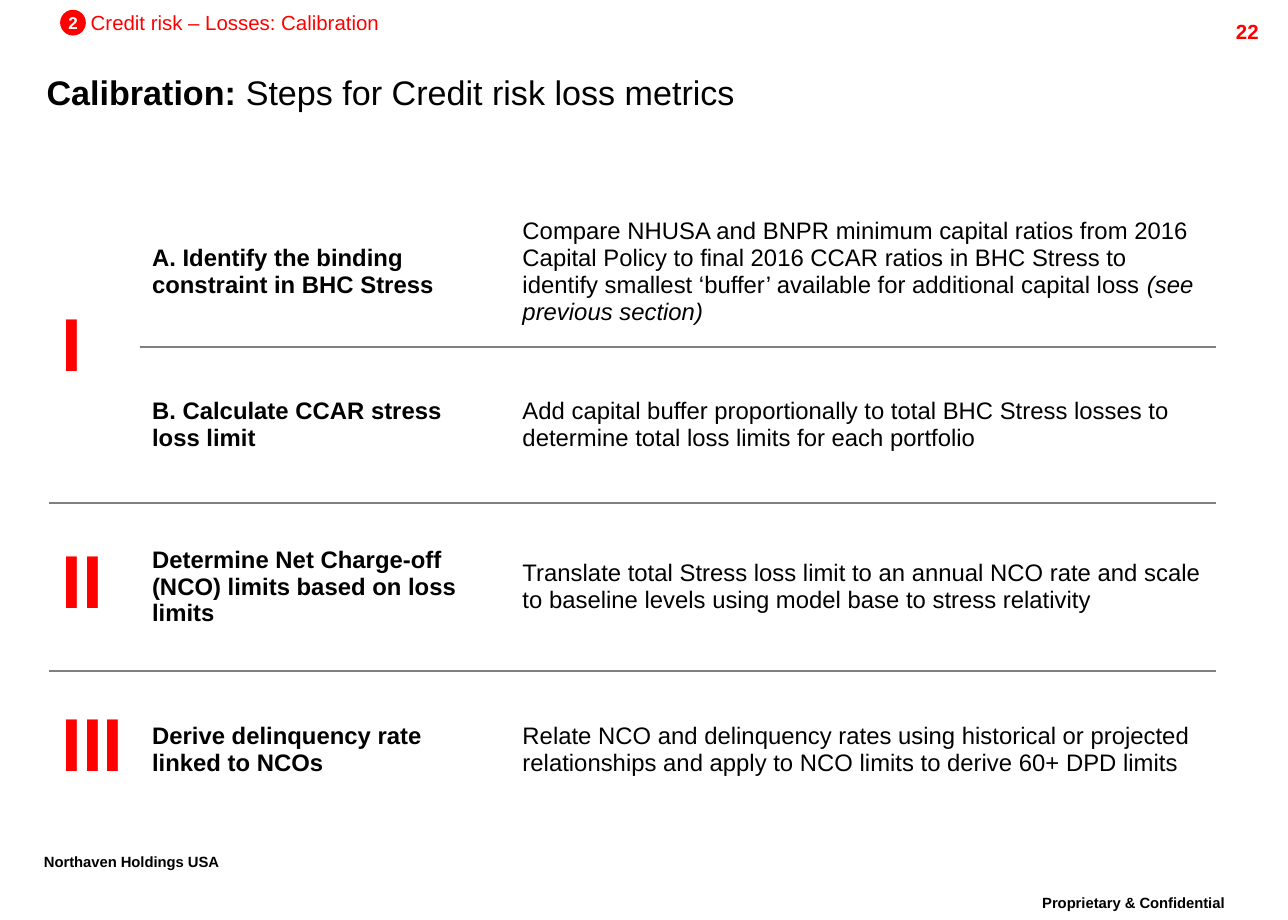
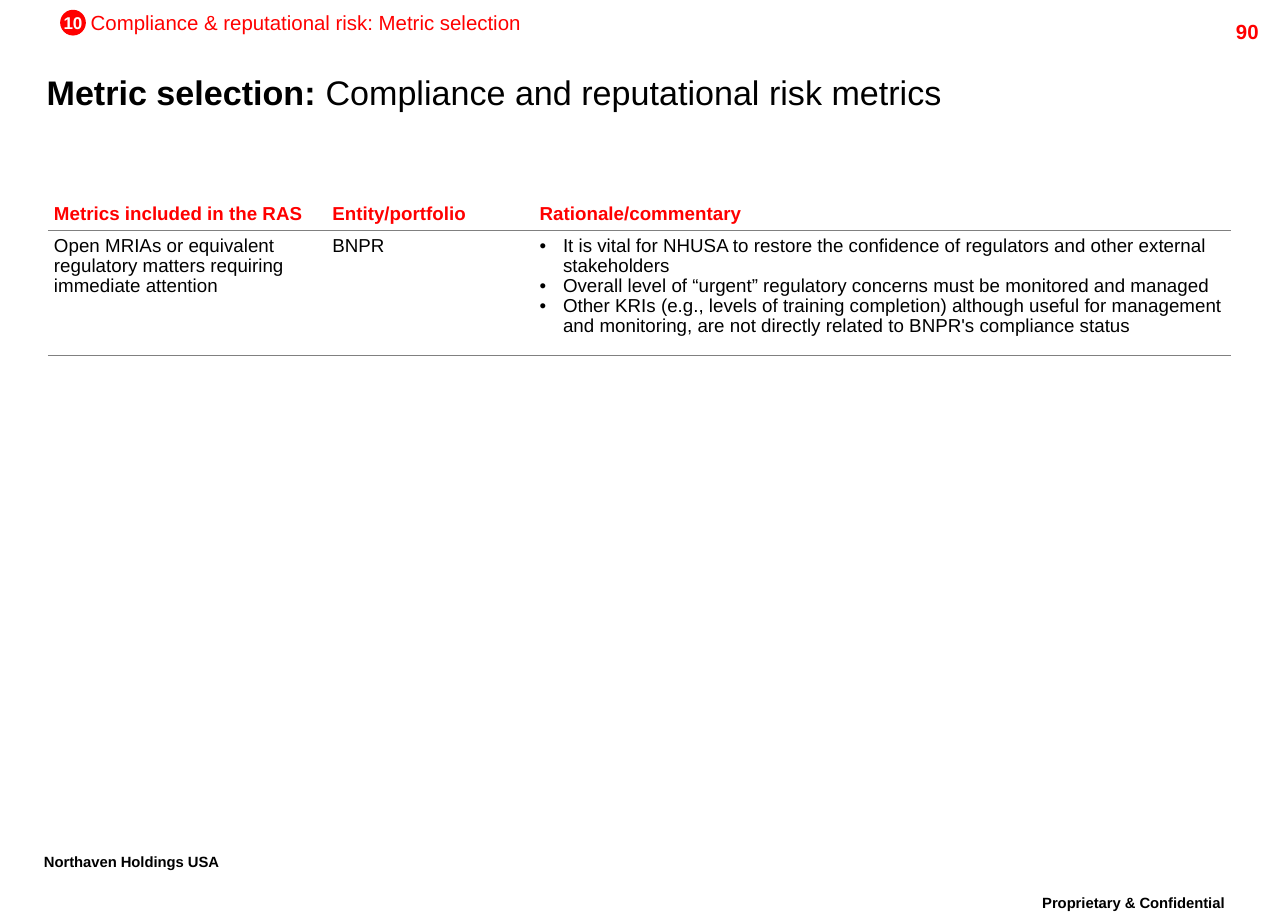
from lxml import etree
from pptx import Presentation
from pptx import util as u
from pptx.dml.color import RGBColor
from pptx.enum import shapes, text
from pptx.oxml.ns import qn

RED, BLACK, WHITE, GREY = "FF0000", "000000", "FFFFFF", "808080"
FONT = "Arial"
NO_GRID = "{2D5ABB26-0587-4C30-8999-92F81FD0307C}"
LEFT, CENTER, RIGHT = text.PP_ALIGN.LEFT, text.PP_ALIGN.CENTER, text.PP_ALIGN.RIGHT
MIDDLE, TOP, BOTTOM = (text.MSO_ANCHOR.MIDDLE, text.MSO_ANCHOR.TOP,
                       text.MSO_ANCHOR.BOTTOM)

deck = Presentation()
deck.slide_width, deck.slide_height = u.Inches(10.5), u.Inches(7.5)
# The slide is a grid of 105 columns by 75 rows
COL, ROW = deck.slide_width / 105, deck.slide_height / 75


def color(hex_string):
    return RGBColor.from_string(hex_string)


def write(frame, paragraphs, size=12, ink=BLACK, bold=False, align=LEFT,
          spacing=1.0, indent=0, bullet=False, raised=False):
    """Fill a frame; a paragraph is a string or a list of (text, format) runs."""
    for i, content in enumerate(paragraphs):
        para = frame.paragraphs[0] if i == 0 else frame.add_paragraph()
        props = para._p.get_or_add_pPr()
        if indent:
            props.set("marL", str(int(indent * COL)))
            props.set("indent", str(int(-indent * COL) if bullet else 0))
        if bullet:
            etree.SubElement(props, qn("a:buFont"), typeface=FONT)
            etree.SubElement(props, qn("a:buChar"), char="•")
        para.alignment, para.line_spacing = align, spacing
        runs = [(content, {})] if isinstance(content, str) else content
        for words, extra in runs:
            run = para.add_run()
            run.text = words
            font = run.font
            font.name, font.size = FONT, u.Pt(size)
            font.bold, font.italic = extra.get("bold", bold), extra.get("italic", False)
            font.color.rgb = color(ink)
            if raised:
                run._r.get_or_add_rPr().set("baseline", "30000")


# Content of the two slides
steps = dict(
    number="2", section="Credit risk – Losses: Calibration", page="22",
    title=("Calibration: ", "Steps for Credit risk loss metrics"),
    left=4, columns=[7.4, 28.9, 58.8], rows=[12.3, 12.7, 13.7, 12.8],
    inset=(1, 0.5), line=1, ruled=[0, 1, 2], merged=[(0, 0, 1, 0)],
    anchors=[MIDDLE] * 4, header={},
    formats=[dict(size=44, ink=RED, bold=True, spacing=0.86),
             dict(size=14, bold=True),
             dict(size=14, indent=1.3)],
    cells=[
        [["I"], ["A. Identify the binding constraint in BHC Stress"],
         [[("Compare NHUSA and BNPR minimum capital ratios from 2016 Capital Policy "
            "to final 2016 CCAR ratios in BHC Stress to identify smallest ‘buffer’ "
            "available for additional capital loss ", {}),
           ("(see previous section)", {"italic": True})]]],
        [[], ["B. Calculate CCAR stress loss limit"],
         ["Add capital buffer proportionally to total BHC Stress losses to "
          "determine total loss limits for each portfolio"]],
        [["II"], ["Determine Net Charge-off (NCO) limits based on loss limits"],
         ["Translate total Stress loss limit to an annual NCO rate and scale to "
          "baseline levels using model base to stress relativity"]],
        [["III"], ["Derive delinquency rate linked to NCOs"],
         ["Relate NCO and delinquency rates using historical or projected "
          "relationships and apply to NCO limits to derive 60+ DPD limits"]],
    ])

metrics = dict(
    number="10", section="Compliance & reputational risk: Metric selection", page="90",
    title=("Metric selection: ", "Compliance and reputational risk metrics"),
    left=3.9, columns=[22.7, 16.9, 56.9], rows=[2.8, 10.2],
    inset=(0.5, 0.5), line=0.75, ruled=[0, 1], merged=[],
    anchors=[BOTTOM, TOP],
    header=dict(ink=RED, bold=True, spacing=0.86, indent=0, bullet=False),
    formats=[dict(size=11, spacing=0.96),
             dict(size=11, spacing=0.96),
             dict(size=11, spacing=0.96, indent=1.9, bullet=True)],
    cells=[
        [["Metrics included in the RAS"], ["Entity/portfolio"], ["Rationale/commentary"]],
        [["Open MRIAs or equivalent regulatory matters requiring immediate attention"],
         ["BNPR"],
         ["It is vital for NHUSA to restore the confidence of regulators and other "
          "external stakeholders",
          "Overall level of “urgent” regulatory concerns must be monitored and managed",
          "Other KRIs (e.g., levels of training completion) although useful for "
          "management and monitoring, are not directly related to BNPR's compliance "
          "status"]],
    ])

for topic in (steps, metrics):
    slide = deck.slides.add_slide(deck.slide_layouts[6])

    # Title, section name, page number and footers: place, inset, anchor, wrap
    footer = dict(size=15, bold=True, spacing=0.86, raised=True)
    lead, rest = topic["title"]
    labels = [
        ((3.8, 5.1, 94.8, 4.8), (0, 0), MIDDLE, True,
         [(lead, {"bold": True}), (rest, {})], dict(size=20)),
        ((7.4, 0.8, 36, 2), (0, 0), TOP, False, topic["section"], dict(ink=RED)),
        ((93.6, 1.1, 10, 2.4), (1, 0.5), TOP, True, topic["page"],
         dict(ink=RED, bold=True, align=RIGHT)),
        ((2.6, 69.1, 19.1, 3.5), (1, 0.5), TOP, False, "Northaven Holdings USA", footer),
        ((81.5, 72.5, 21.8, 3.5), (1, 0.5), TOP, True, "Proprietary & Confidential",
         dict(footer, align=CENTER)),
    ]
    for (x, y, w, h), (side, edge), anchor, wrap, words, style in labels:
        frame = slide.shapes.add_textbox(
            int(x * COL), int(y * ROW), int(w * COL), int(h * ROW)).text_frame
        frame.margin_left = frame.margin_right = int(side * COL)
        frame.margin_top = frame.margin_bottom = int(edge * ROW)
        frame.vertical_anchor, frame.word_wrap = anchor, wrap
        write(frame, [words], **style)

    # Section number in a red disc
    disc = slide.shapes.add_shape(shapes.MSO_SHAPE.OVAL, int(4.9 * COL), int(0.8 * ROW),
                                  int(2.1 * COL), int(2.1 * ROW))
    disc.shadow.inherit = False
    disc.fill.solid()
    disc.fill.fore_color.rgb = color(RED)
    disc.line.fill.background()
    frame = disc.text_frame
    frame.margin_left = frame.margin_right = frame.margin_top = frame.margin_bottom = 0
    frame.vertical_anchor, frame.word_wrap = MIDDLE, False
    write(frame, [topic["number"]], size=10, ink=WHITE, bold=True, align=CENTER)

    # Table with thin rules below its rows
    columns, rows = topic["columns"], topic["rows"]
    table = slide.shapes.add_table(
        len(rows), len(columns), int(topic["left"] * COL), int(16 * ROW),
        int(sum(columns) * COL), int(sum(rows) * ROW)).table
    table.first_row = table.horz_banding = False
    table._tbl.tblPr.find(qn("a:tableStyleId")).text = NO_GRID
    for c, width in enumerate(columns):
        table.columns[c].width = int(width * COL)
    for r, height in enumerate(rows):
        table.rows[r].height = int(height * ROW)
    for r1, c1, r2, c2 in topic["merged"]:
        table.cell(r1, c1).merge(table.cell(r2, c2))

    side, edge = topic["inset"]
    for r, row in enumerate(topic["cells"]):
        for c, paragraphs in enumerate(row):
            cell = table.cell(r, c)
            cell.margin_left = cell.margin_right = int(side * COL)
            cell.margin_top = cell.margin_bottom = int(edge * ROW)
            cell.vertical_anchor = topic["anchors"][r]
            if r in topic["ruled"]:
                rule = etree.SubElement(cell._tc.get_or_add_tcPr(), qn("a:lnB"),
                                        w=str(u.Pt(topic["line"])))
                paint = etree.SubElement(rule, qn("a:solidFill"))
                etree.SubElement(paint, qn("a:srgbClr"), val=GREY)
            cell.fill.solid()
            cell.fill.fore_color.rgb = color(WHITE)
            style = dict(topic["formats"][c], **(topic["header"] if r == 0 else {}))
            write(cell.text_frame, paragraphs, **style)

deck.save("out.pptx")
